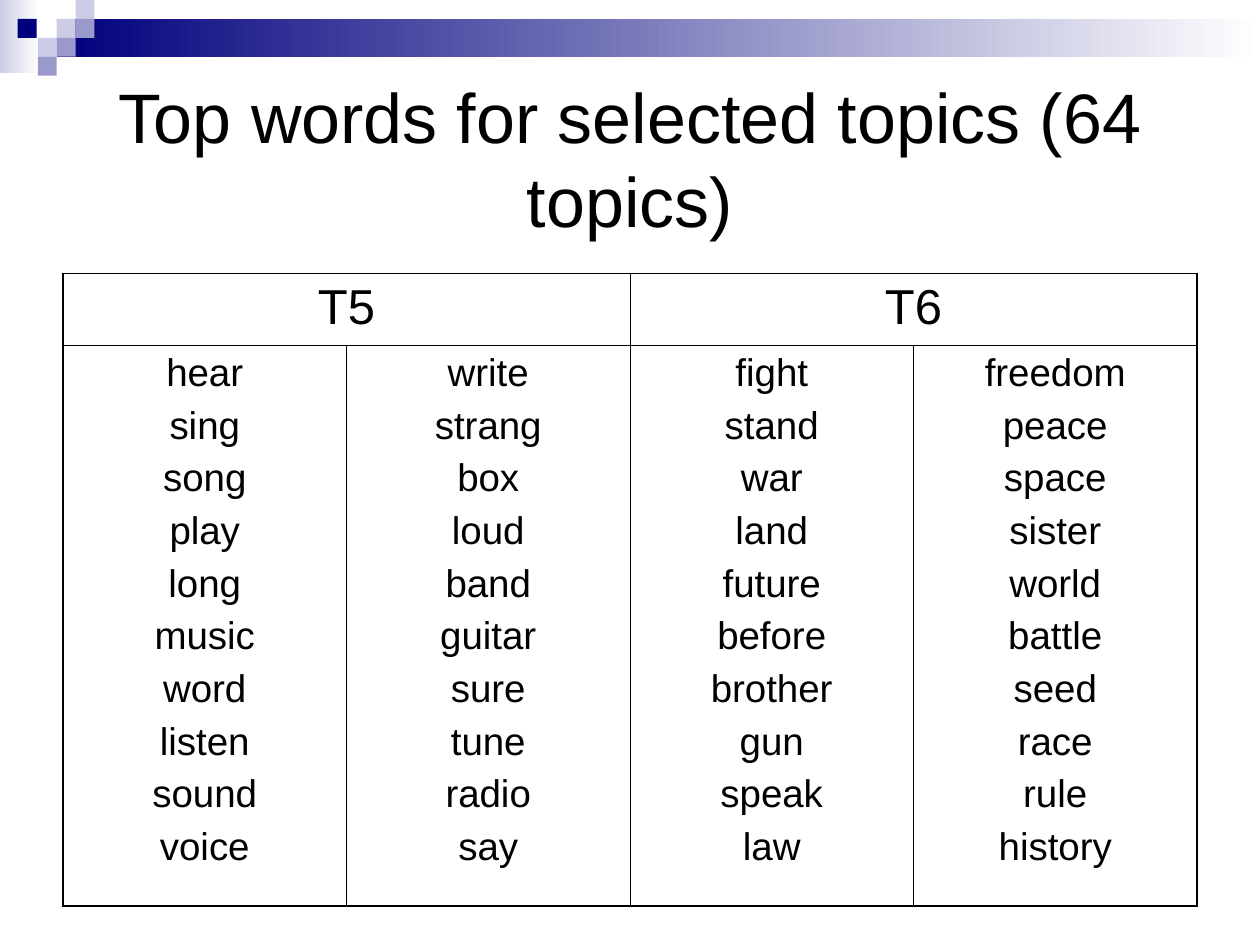
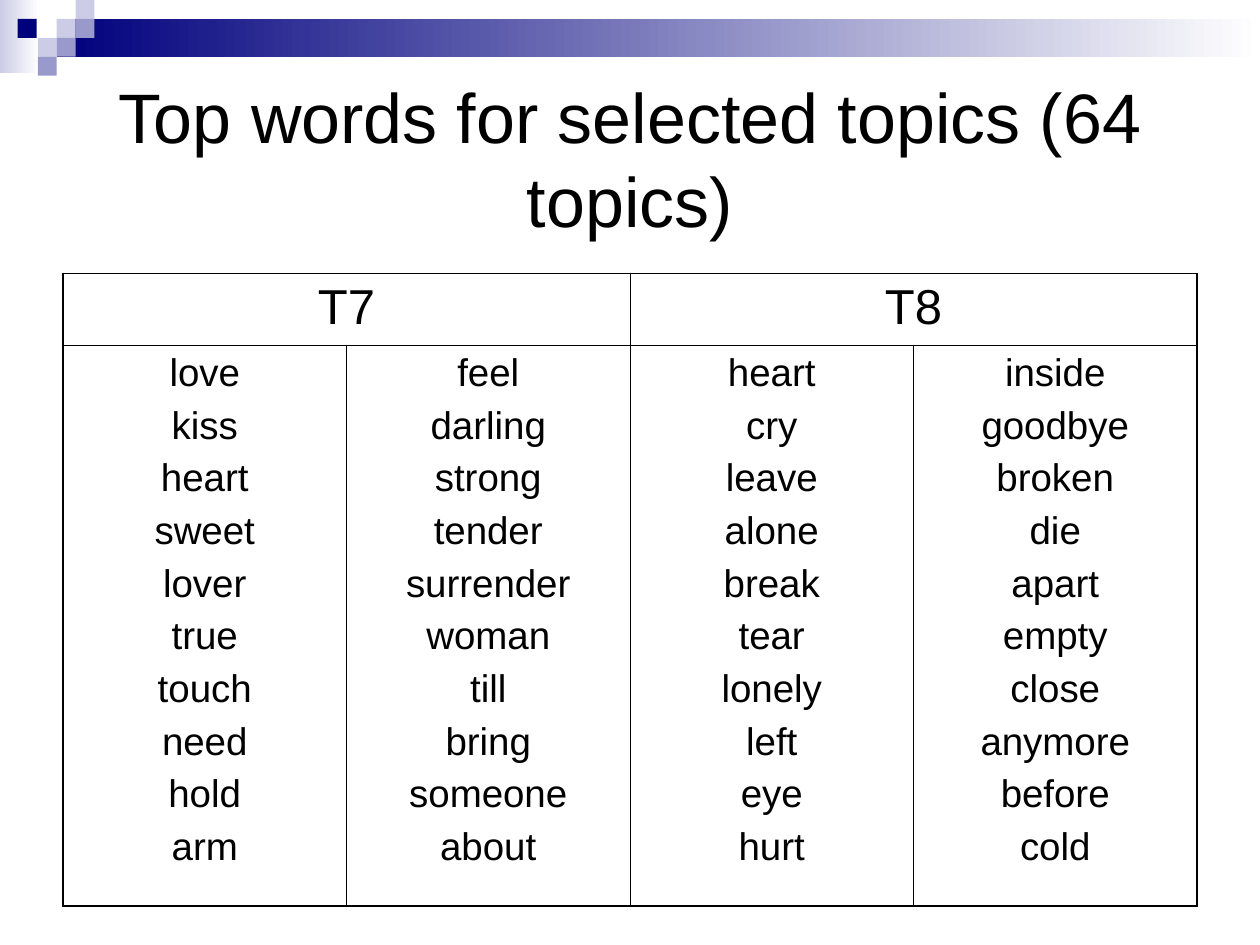
from pptx import Presentation
from pptx.dml.color import RGBColor
from pptx.enum.shapes import MSO_SHAPE
from pptx.enum.text import MSO_ANCHOR, PP_ALIGN
from pptx.oxml.ns import qn
from pptx.util import Inches, Pt
from lxml.etree import SubElement

FONT = "Arial"
BLACK = RGBColor(0x00, 0x00, 0x00)
WHITE = RGBColor(0xFF, 0xFF, 0xFF)
NAVY = RGBColor(0x00, 0x00, 0x7D)
LAVENDER = RGBColor(0xCC, 0xCC, 0xE6)
PERIWINKLE = RGBColor(0x99, 0x99, 0xCC)

TITLE = "Top words for selected topics (64 topics)"
TITLE_BOX = (0.5, 0.5, 9, 1.5)
TABLE_BOX = (0.5, 2.17, 9, 5)
HEADER_HEIGHT = 0.57
OUTER_LINE, INNER_LINE = Pt(1.08), Pt(0.45)
NO_STYLE = "{2D5ABB26-0587-4C30-8999-92F81FD0307C}"

TILE = 0.15
TILES = [  # left, top, colour
    (0.45, 0.15, LAVENDER), (0.6, 0, LAVENDER), (0.6, 0.15, PERIWINKLE),
    (0.3, 0.3, LAVENDER), (0.14, 0.15, NAVY), (0.45, 0.3, PERIWINKLE),
    (0.3, 0.45, PERIWINKLE),
]

# Each slide holds two topics; each topic has two columns of words
SLIDES = [
    {"T5": ["hear sing song play long music word listen sound voice",
            "write strang box loud band guitar sure tune radio say"],
     "T6": ["fight stand war land future before brother gun speak law",
            "freedom peace space sister world battle seed race rule history"]},
    {"T7": ["love kiss heart sweet lover true touch need hold arm",
            "feel darling strong tender surrender woman till bring someone about"],
     "T8": ["heart cry leave alone break tear lonely left eye hurt",
            "inside goodbye broken die apart empty close anymore before cold"]},
]


def add_block(page, box, *colours):
    """Rectangle with one flat colour, or two fading left to right."""
    block = page.shapes.add_shape(MSO_SHAPE.RECTANGLE, *map(Inches, box))
    block.shadow.inherit = False
    block.line.fill.background()
    if len(colours) == 1:
        block.fill.solid()
        block.fill.fore_color.rgb = colours[0]
    else:
        block.fill.gradient()
        block.fill.gradient_angle = 0
        for stop, colour, position in zip(block.fill.gradient_stops, colours, (0, 1)):
            stop.color.rgb = colour
            stop.position = position


def write_lines(frame, lines, size, space_before=0):
    """Centred paragraphs, one for each line."""
    frame.word_wrap = True
    for index, line in enumerate(lines):
        para = frame.add_paragraph() if index else frame.paragraphs[0]
        para.alignment = PP_ALIGN.CENTER
        para.space_before = Pt(space_before)
        span = para.add_run()
        span.text = line
        span.font.name = FONT
        span.font.size = Pt(size)
        span.font.color.rgb = BLACK


def draw_band(page):
    add_block(page, (0, 0, 0.31, 0.58), LAVENDER, WHITE)
    add_block(page, (0.45, 0.15, 9.55, 0.3), NAVY, WHITE)
    for left, top, colour in TILES:
        add_block(page, (left, top, TILE, TILE), colour)


def draw_title(page, box):
    frame = page.shapes.add_textbox(*map(Inches, box)).text_frame
    frame.vertical_anchor = MSO_ANCHOR.MIDDLE
    write_lines(frame, [TITLE], 40)


def set_borders(cell, outer_sides):
    """Thick line on the table's outer sides, thin line elsewhere."""
    properties = cell._tc.get_or_add_tcPr()
    for index, side in enumerate("LRTB"):
        width = OUTER_LINE if side in outer_sides else INNER_LINE
        line = SubElement(properties, qn(f"a:ln{side}"), w=str(width))
        fill = SubElement(line, qn("a:solidFill"))
        SubElement(fill, qn("a:srgbClr"), val=str(BLACK))
        properties.insert(index, line)


def draw_topics(page, box, topics):
    left, top, width, height = box
    columns = [words for pair in topics.values() for words in pair]
    count = len(columns)
    graphic = page.shapes.add_table(2, count, *map(Inches, box))
    table = graphic.table
    table.first_row = table.horz_banding = False
    graphic._element.xpath(".//a:tableStyleId")[0].text = NO_STYLE
    for column in table.columns:
        column.width = Inches(width / count)
    table.rows[0].height = Inches(HEADER_HEIGHT)
    table.rows[1].height = Inches(height - HEADER_HEIGHT)

    # Topic names, each over its two columns
    for index, name in enumerate(topics):
        header = table.cell(0, 2 * index)
        header.merge(table.cell(0, 2 * index + 1))
        write_lines(header.text_frame, [name], 28, 7)

    # Word lists
    for index, words in enumerate(columns):
        write_lines(table.cell(1, index).text_frame, words.split(), 22, 5.5)

    # Fills and borders
    for row, side in enumerate("TB"):
        for index in range(count):
            cell = table.cell(row, index)
            cell.fill.background()
            if cell.is_spanned:
                continue
            last = index + (cell.span_width if cell.is_merge_origin else 1)
            outer = side + "L" * (index == 0) + "R" * (last == count)
            set_borders(cell, outer)


def main():
    deck = Presentation()
    deck.slide_width, deck.slide_height = Inches(10), Inches(7.5)
    for topics in SLIDES:
        page = deck.slides.add_slide(deck.slide_layouts[6])
        draw_band(page)
        draw_title(page, TITLE_BOX)
        draw_topics(page, TABLE_BOX, topics)
    deck.save("out.pptx")


if __name__ == "__main__":
    main()
